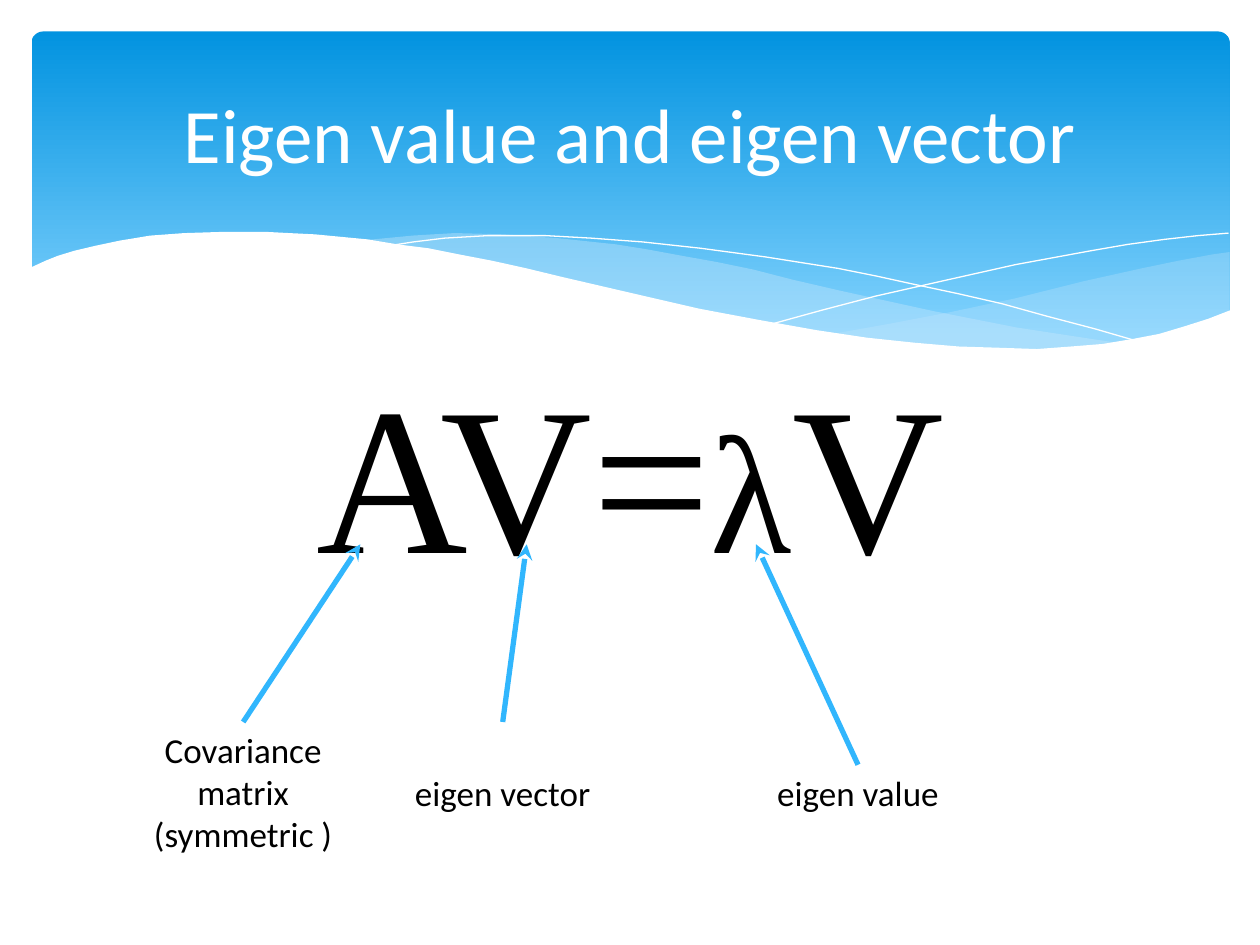
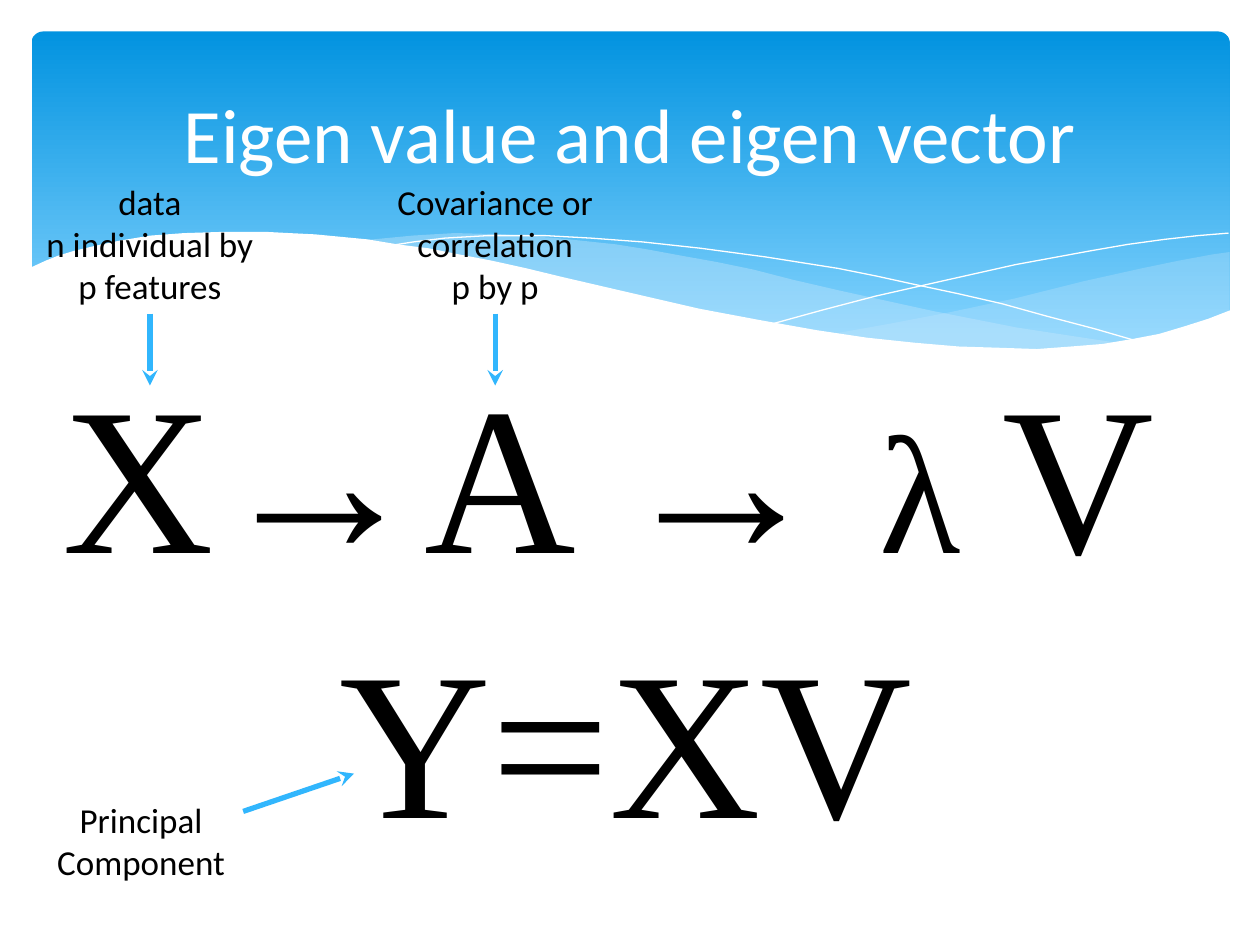
from lxml.etree import SubElement
from pptx import Presentation
from pptx.dml.color import RGBColor
from pptx.enum.shapes import MSO_CONNECTOR, MSO_SHAPE
from pptx.enum.text import MSO_ANCHOR, MSO_AUTO_SIZE, PP_ALIGN
from pptx.oxml.ns import qn
from pptx.util import Inches, Pt

COLORS = {
    "band_top": "0293E0",
    "band_bottom": "83D3FE",
    "wave": "C6E7FC",
    "arrow": "31B6FD",
    "paper": "FFFFFF",
    "ink": "000000",
}
TITLE_FONT = {"name": "Calibri", "size": Pt(44), "color": "paper"}
LABEL_FONT = {"name": "Calibri", "size": Pt(20), "color": "ink"}
SYMBOL_FONT = {"name": "Times New Roman", "size": Pt(120), "color": "ink"}
LAMBDA_FONT = {**SYMBOL_FONT, "size": Pt(96)}
BOX_FORMAT = {"word_wrap": True, "auto_size": MSO_AUTO_SIZE.SHAPE_TO_FIT_TEXT}
TITLE_FORMAT = {"word_wrap": True, "vertical_anchor": MSO_ANCHOR.MIDDLE}
TITLE_AREA = (0.5, 0.37, 9, 1.37)
BAND_AREA = (0.25, 0.25, 9.51, 2.7)
LABEL_WIDTH = 1.86
EQUATION_HEIGHT = 2.12
TOP, BOTTOM = 0, 2

WAVES = [
    {"fill": "wave", "alpha": 29, "points": [
        (9.76, 2), (9.62, 2.02), (9.35, 2.07), (9.06, 2.13), (8.61, 2.23),
        (8.05, 2.37), (7.53, 2.48), (7.06, 2.57), (6.61, 2.65), (6.91, 2.69),
        (7.19, 2.72), (7.57, 2.76), (8.03, 2.78), (8.44, 2.77), (8.72, 2.74),
        (8.97, 2.7), (9.21, 2.65), (9.42, 2.59), (9.63, 2.52), (9.76, 2.47)]},
    {"fill": "wave", "alpha": 40, "points": [
        (8.93, 2.73), (8.66, 2.69), (8.07, 2.6), (7.41, 2.47), (6.68, 2.31),
        (6.29, 2.22), (5.98, 2.14), (5.69, 2.08), (5.41, 2.03), (5.14, 1.98),
        (4.89, 1.94), (4.42, 1.89), (3.99, 1.86), (3.61, 1.85), (3.28, 1.87),
        (2.86, 1.91), (3.23, 1.96), (3.62, 2.03), (4.04, 2.11), (4.49, 2.22),
        (4.91, 2.32), (5.3, 2.4), (5.66, 2.48), (6.01, 2.55), (6.34, 2.61),
        (6.65, 2.66), (6.95, 2.7), (7.22, 2.74), (7.48, 2.76), (7.85, 2.78),
        (8.28, 2.78), (8.57, 2.77)]},
    {"line": "paper", "points": [
        (3.09, 1.95), (3.28, 1.92), (3.53, 1.89), (3.87, 1.87), (4.33, 1.87),
        (4.69, 1.89), (5.1, 1.92), (5.56, 1.97), (6.08, 2.04), (6.65, 2.13),
        (6.95, 2.19), (7.27, 2.26), (7.6, 2.33), (7.95, 2.41), (8.31, 2.51),
        (8.69, 2.61), (9.07, 2.72)]},
    {"line": "paper", "points": [
        (6.13, 2.57), (6.53, 2.46), (6.95, 2.35), (7.48, 2.23), (8.06, 2.1),
        (8.66, 1.99), (8.95, 1.94), (9.24, 1.9), (9.51, 1.87), (9.75, 1.85)]},
    {"fill": "paper", "points": [
        (9.77, 2.46), (9.59, 2.53), (9.4, 2.59), (9.2, 2.65), (8.99, 2.69),
        (8.75, 2.73), (8.5, 2.75), (8.23, 2.77), (7.93, 2.76), (7.61, 2.75),
        (7.26, 2.72), (6.88, 2.68), (6.48, 2.62), (6.03, 2.54), (5.55, 2.45),
        (5.03, 2.33), (4.47, 2.2), (4.18, 2.13), (3.91, 2.07), (3.65, 2.02),
        (3.4, 1.97), (3.16, 1.94), (2.92, 1.9), (2.71, 1.88), (2.5, 1.86),
        (2.3, 1.85), (2.11, 1.84), (1.77, 1.84), (1.46, 1.85), (1.19, 1.87),
        (0.95, 1.91), (0.76, 1.95), (0.59, 1.99), (0.46, 2.03), (0.36, 2.07),
        (0.23, 2.13), (0.23, 3.29), (9.77, 3.29)]},
]

SLIDES = [
    {
        "title": "Eigen value and eigen vector",
        "equations": [
            {"at": (2.13, 2.68), "width": 5.74, "symbols": ["AV=", "λ", "V"]},
        ],
        "labels": [
            {"at": (1, 5.73), "height": 1.11, "lines": ["Covariance matrix (symmetric )"],
             "side": TOP, "target": (2.86, 4.32)},
            {"at": (3.06, 6.07), "height": 0.44, "lines": ["eigen vector"],
             "source": (3.99, 5.73), "target": (4.18, 4.32)},
            {"at": (5.88, 6.07), "height": 0.44, "lines": ["eigen value"],
             "side": TOP, "target": (6, 4.32)},
        ],
    },
    {
        "title": "Eigen value and eigen vector",
        "equations": [
            {"at": (0.12, 2.68), "width": 9.42, "symbols": ["X→A → ", "λ ", "V"]},
            {"at": (0.26, 4.78), "width": 9.42, "symbols": ["Y=XV"]},
        ],
        "labels": [
            {"at": (0.26, 1.38), "height": 1.11, "lines": ["data", "n individual by p features"],
             "side": BOTTOM, "target": (1.19, 3.06)},
            {"at": (3, 1.38), "height": 1.11, "lines": ["Covariance or correlation", "p by p"],
             "side": BOTTOM, "target": (3.93, 3.06)},
            {"at": (0.19, 6.29), "height": 0.77, "lines": ["Principal", "Component"],
             "source": (1.93, 6.44), "target": (2.81, 6.14)},
        ],
    },
]


def rgb(name):
    return RGBColor.from_string(COLORS[name])


def inches(lengths):
    return [Inches(length) for length in lengths]


def apply_format(target, values):
    for attribute, value in values.items():
        if attribute == "color":
            target.color.rgb = rgb(value)
        else:
            setattr(target, attribute, value)


def write_paragraph(paragraph, pieces):
    paragraph.alignment = PP_ALIGN.CENTER
    for text, font in pieces:
        run = paragraph.add_run()
        run.text = text
        apply_format(run.font, font)


def add_text(slide, area, paragraphs):
    box = slide.shapes.add_textbox(*inches(area))
    frame = box.text_frame
    apply_format(frame, BOX_FORMAT)
    for index, pieces in enumerate(paragraphs):
        paragraph = frame.add_paragraph() if index else frame.paragraphs[0]
        write_paragraph(paragraph, pieces)
    return box


def add_band(slide):
    band = slide.shapes.add_shape(MSO_SHAPE.ROUNDED_RECTANGLE, *inches(BAND_AREA))
    band.shadow.inherit = False
    band.adjustments[0] = 0.034
    band.line.fill.background()
    band.fill.gradient()
    band.fill.gradient_angle = 270
    stops = [("band_top", 0), ("band_bottom", 0.9)]
    for stop, (color, position) in zip(band.fill.gradient_stops, stops):
        apply_format(stop, {"color": color, "position": position})
    return band


def add_wave(slide, wave):
    start, *rest = [inches(point) for point in wave["points"]]
    outline = slide.shapes.build_freeform(*start)
    outline.add_line_segments(rest, close="fill" in wave)
    curve = outline.convert_to_shape()
    curve.shadow.inherit = False
    if "fill" in wave:
        curve.fill.solid()
        curve.fill.fore_color.rgb = rgb(wave["fill"])
        curve.line.fill.background()
    else:
        curve.fill.background()
        apply_format(curve.line, {"color": wave["line"], "width": Pt(0)})
    if "alpha" in wave:
        fill_color = curve.element.spPr.find(".//" + qn("a:srgbClr"))
        SubElement(fill_color, qn("a:alpha"), val=str(wave["alpha"] * 1000))
    return curve


def decorate_layout(layout, slide):
    backdrop = [add_band(slide)] + [add_wave(slide, wave) for wave in WAVES]
    for part in backdrop:
        layout.shapes.element.append(part.element)


def add_label(slide, label):
    left, top = label["at"]
    paragraphs = [[(line, LABEL_FONT)] for line in label["lines"]]
    box = add_text(slide, (left, top, LABEL_WIDTH, label["height"]), paragraphs)
    source = label.get("source", label["at"])
    arrow = slide.shapes.add_connector(
        MSO_CONNECTOR.STRAIGHT, *inches(source), *inches(label["target"]))
    if "side" in label:
        arrow.begin_connect(box, label["side"])
    apply_format(arrow.line, {"color": "arrow", "width": Pt(3)})
    properties = arrow.element.spPr
    SubElement(properties.find(qn("a:ln")), qn("a:tailEnd"), type="stealth")
    SubElement(properties, qn("a:effectLst"))


def add_equation(slide, equation):
    pieces = [(symbol, LAMBDA_FONT if "λ" in symbol else SYMBOL_FONT)
              for symbol in equation["symbols"]]
    area = (*equation["at"], equation["width"], EQUATION_HEIGHT)
    add_text(slide, area, [pieces])


def fill_title(slide, text):
    title = slide.shapes.title
    places = zip(("left", "top", "width", "height"), inches(TITLE_AREA))
    apply_format(title, dict(places))
    apply_format(title.text_frame, TITLE_FORMAT)
    write_paragraph(title.text_frame.paragraphs[0], [(text, TITLE_FONT)])


def main():
    deck = Presentation()
    apply_format(deck, {"slide_width": Inches(10), "slide_height": Inches(7.5)})
    layout = deck.slide_layouts.get_by_name("Title Only")
    for index, content in enumerate(SLIDES):
        slide = deck.slides.add_slide(layout)
        if index == 0:
            decorate_layout(layout, slide)
        fill_title(slide, content["title"])
        for equation in content["equations"]:
            add_equation(slide, equation)
        for label in content["labels"]:
            add_label(slide, label)
    deck.save("out.pptx")


if __name__ == "__main__":
    main()
